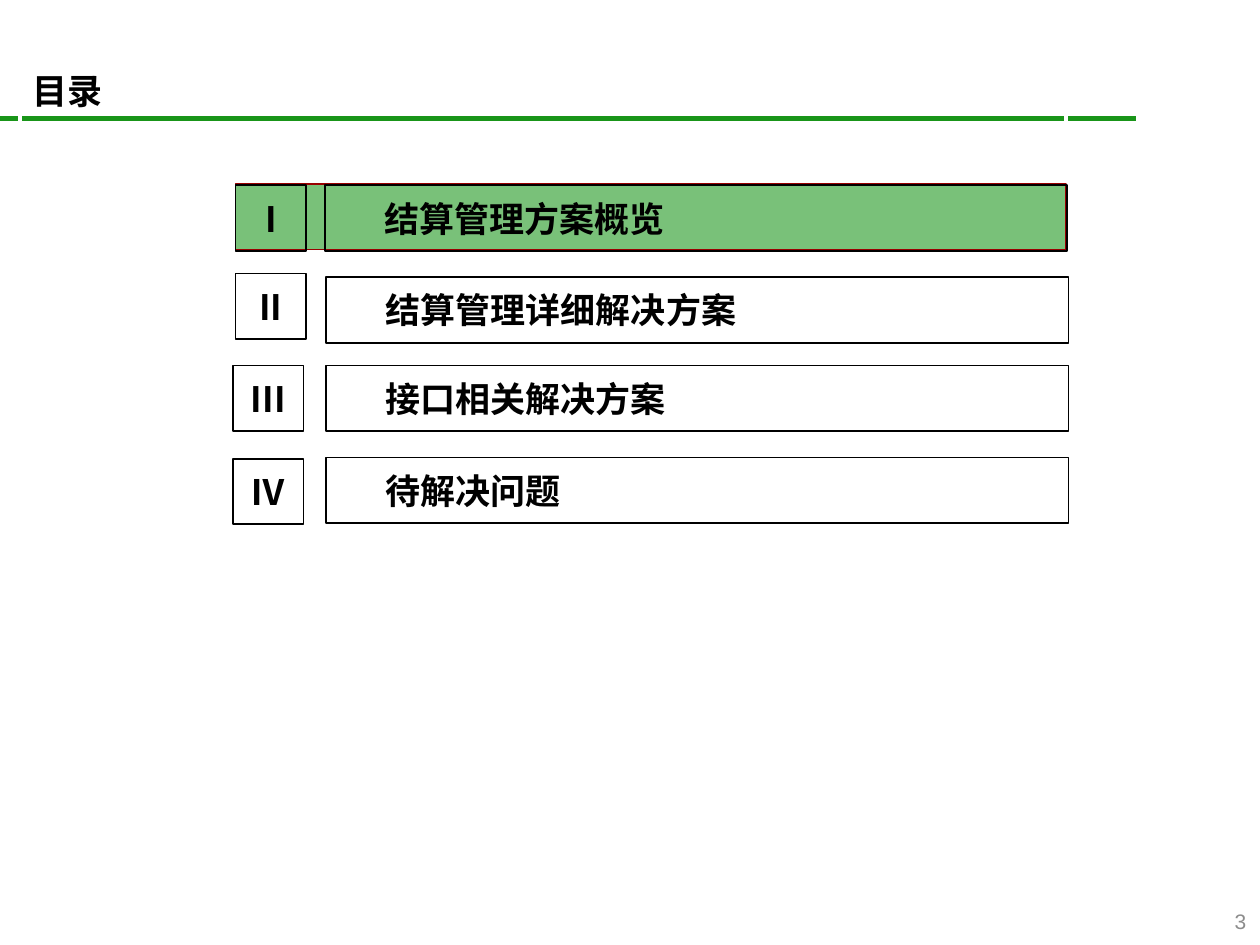
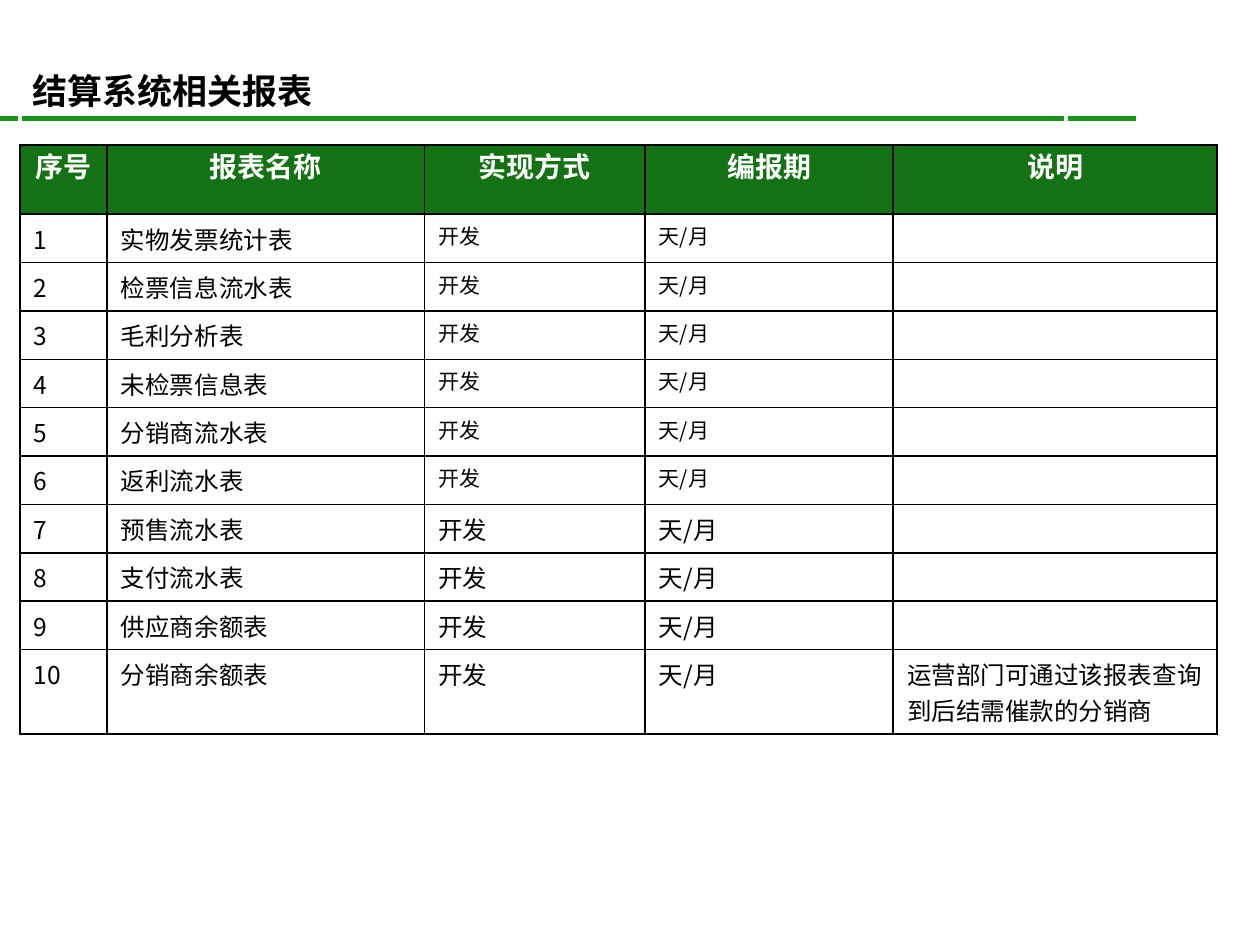
from lxml.etree import SubElement
from pptx import Presentation
from pptx.dml.color import RGBColor
from pptx.enum.shapes import MSO_CONNECTOR, MSO_SHAPE
from pptx.enum.text import MSO_ANCHOR, PP_ALIGN
from pptx.oxml import parse_xml
from pptx.oxml.ns import nsdecls, qn
from pptx.util import Inches, Pt

GREEN, DARK, BLACK, WHITE = "199519", "147214", "000000", "FFFFFF"
SANS = "Noto Sans CJK SC"
hue = RGBColor.from_string


def put(frame, text, size=20, font=SANS, color=BLACK, bold=False, align=PP_ALIGN.LEFT, indent=0):
    frame.word_wrap = True
    par = frame.paragraphs[0]
    par.alignment = align
    if indent:
        par._p.get_or_add_pPr().set("marL", str(Inches(indent)))
    run = par.add_run()
    run.text = text
    run.font.size = Pt(size)
    run.font.name = font
    run.font.bold = bold
    run.font.color.rgb = hue(color)
    SubElement(run._r.get_or_add_rPr(), qn("a:ea")).set("typeface", font)


def box(page, area, line, width, pad=0.1, text="", **look):
    shape = page.shapes.add_shape(MSO_SHAPE.RECTANGLE, *map(Inches, area))
    shape.shadow.inherit = False
    shape.fill.background()
    shape.line.color.rgb = hue(line)
    shape.line.width = Pt(width)
    if text:
        frame = shape.text_frame
        frame.margin_left = frame.margin_right = Inches(pad)
        frame.vertical_anchor = MSO_ANCHOR.MIDDLE
        put(frame, text, **look)
    return shape


deck = Presentation()
deck.slide_width, deck.slide_height = Inches(10), Inches(7.5)

pages = []
for title in ("目录", "结算系统相关报表"):
    page = deck.slides.add_slide(deck.slide_layouts[6])
    rule = page.shapes.add_connector(
        MSO_CONNECTOR.STRAIGHT, 0, Inches(0.94), Inches(9.02), Inches(0.94))
    rule.line.color.rgb = hue(GREEN)
    rule.line.width = Pt(3)
    SubElement(rule._element.spPr, qn("a:effectLst"))
    if not pages:
        band = box(page, (1.87, 1.46, 6.59, 0.52), "990000", 0.75)
        band.fill.solid()
        band.fill.fore_color.rgb = hue(GREEN)
        tint = band._element.spPr.find(qn("a:solidFill"))[0]
        SubElement(tint, qn("a:alpha")).set("val", "58000")
    box(page, (0.16, 0.4, 8.3, 0.63), WHITE, 2, text=title, bold=True)
    pages.append(page)

menu, report = pages

items = [
    ("I", 1.87, 1.47, "结算管理方案概览", 2.58, 1.47),
    ("II", 1.87, 2.17, "结算管理详细解决方案", 2.59, 2.2),
    ("III", 1.85, 2.9, "接口相关解决方案", 2.59, 2.9),
    ("Ⅳ", 1.85, 3.64, "待解决问题", 2.59, 3.63),
]
for mark, mark_x, mark_y, topic, x, y in items:
    box(menu, (x, y, 5.89, 0.52), BLACK, 1, 0.08, topic, bold=True, indent=0.39)
    box(menu, (mark_x, mark_y, 0.56, 0.52), BLACK, 1, 0, mark, bold=True, align=PP_ALIGN.CENTER)

note = menu.shapes.add_textbox(Inches(9.43), Inches(7.14), Inches(0.56), Inches(0.34))
note.text_frame.vertical_anchor = MSO_ANCHOR.MIDDLE
put(note.text_frame, "3", size=12, font="Arial", color="8C8C8C", align=PP_ALIGN.RIGHT)

heads = ["序号", "报表名称", "实现方式", "编报期", "说明"]
names = ["实物发票统计表", "检票信息流水表", "毛利分析表", "未检票信息表", "分销商流水表",
         "返利流水表", "预售流水表", "支付流水表", "供应商余额表", "分销商余额表"]
rows = [heads] + [[str(n), name, "开发", "天/月", ""] for n, name in enumerate(names, 1)]
rows[-1][-1] = "运营部门可通过该报表查询到后结需催款的分销商"
wide = [0.69, 2.52, 1.75, 1.97, 2.57]
high = [0.55] + [0.38] * 9 + [0.67]

grid = report.shapes.add_table(
    len(rows), len(heads), Inches(0.16), Inches(1.15), Inches(sum(wide)), Inches(sum(high))).table
grid.first_row = grid.horz_banding = False
for col, width in zip(grid.columns, wide):
    col.width = Inches(width)
for r, row in enumerate(rows):
    grid.rows[r].height = Inches(high[r])
    for c, text in enumerate(row):
        cell = grid.cell(r, c)
        cell.margin_left = cell.margin_right = Inches(0.11)
        props = cell._tc.get_or_add_tcPr()
        for side in ("lnL", "lnR", "lnT", "lnB"):
            props.append(parse_xml(
                f'<a:{side} {nsdecls("a")} w="{Pt(1)}"><a:solidFill>'
                f'<a:srgbClr val="{BLACK}"/></a:solidFill></a:{side}>'))
        if r == 0:
            cell.fill.solid()
            cell.fill.fore_color.rgb = hue(DARK)
            put(cell.text_frame, text, size=16, font="DejaVu Sans", color=WHITE,
                bold=True, align=PP_ALIGN.CENTER)
        else:
            cell.fill.background()
            small = r < 7 and c in (2, 3)
            put(cell.text_frame, text, size=12 if small else 14)

deck.save("out.pptx")
